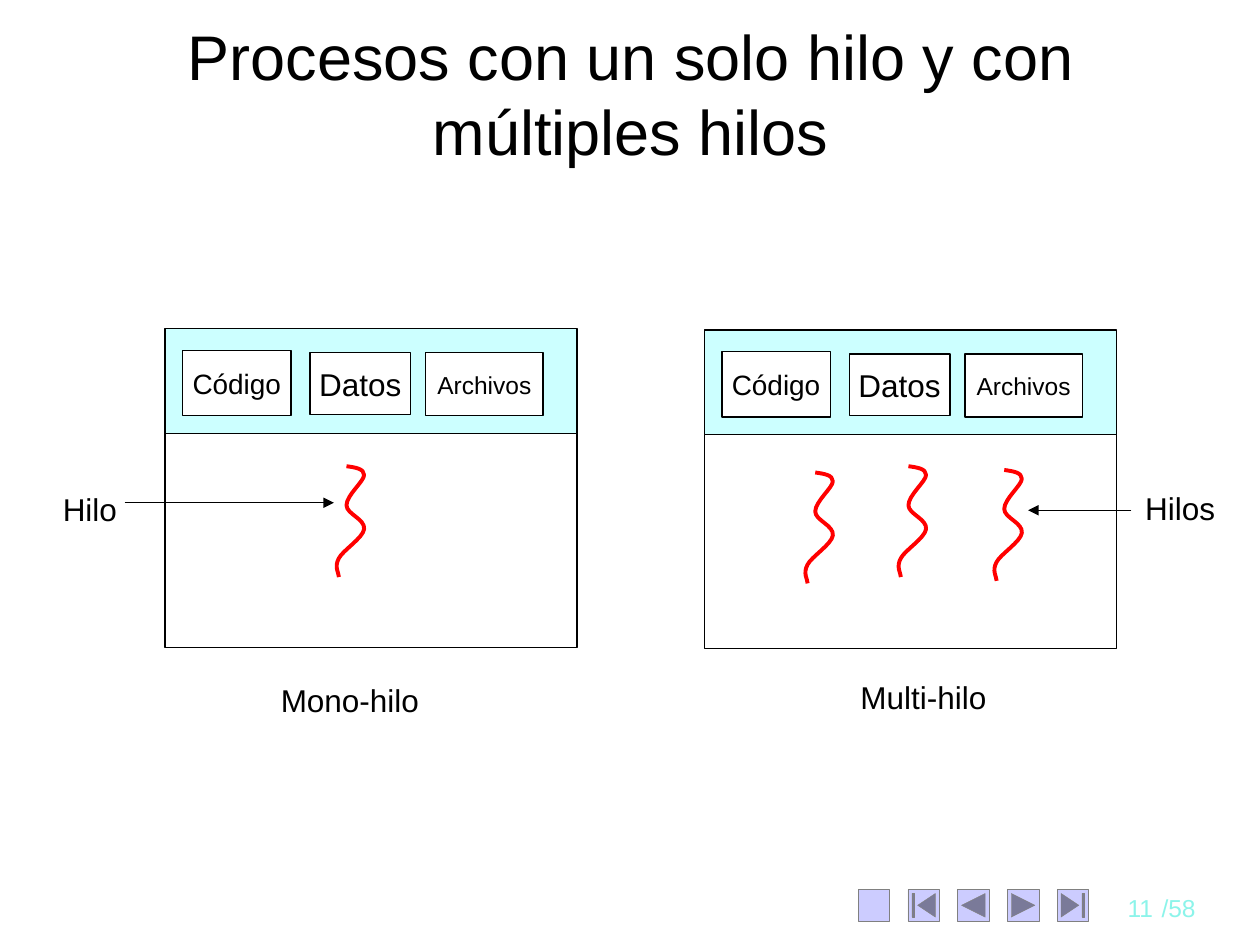
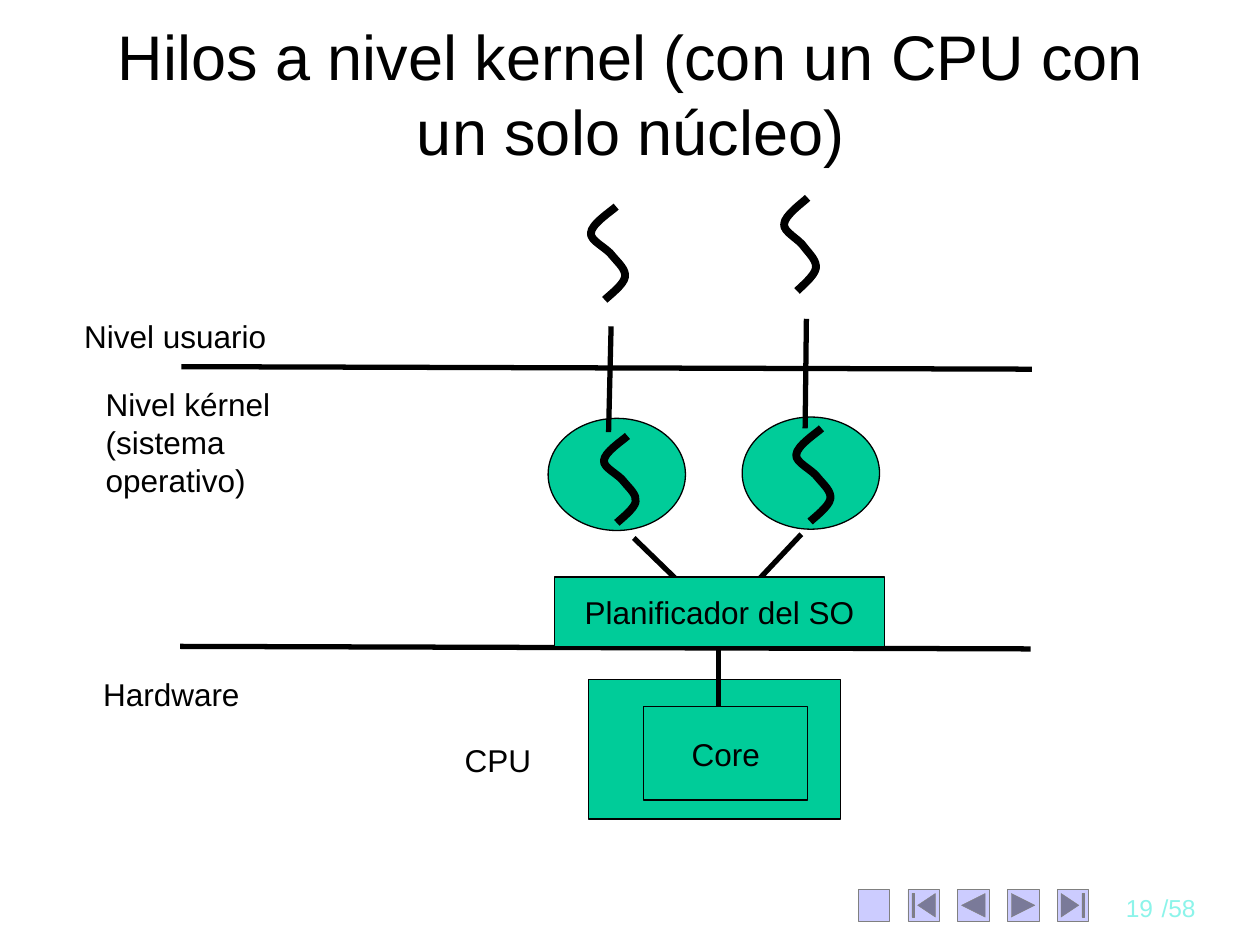
import pptx
import pptx.util
import pptx.dml.color
import pptx.enum.shapes
import pptx.enum.text
import pptx.oxml.ns

RGB = pptx.dml.color.RGBColor
SHAPE = pptx.enum.shapes.MSO_SHAPE
ALIGN = pptx.enum.text.PP_ALIGN
ANCHOR = pptx.enum.text.MSO_ANCHOR
AUTO_SIZE = pptx.enum.text.MSO_AUTO_SIZE
qn = pptx.oxml.ns.qn

EMU_PER_PX = 9144  # 100 px to the inch
FONT = "Arial"

BLACK = RGB(0x00, 0x00, 0x00)
WHITE = RGB(0xFF, 0xFF, 0xFF)
RED = RGB(0xFF, 0x00, 0x00)
GREEN = RGB(0x00, 0xCC, 0x99)
PALE_CYAN = RGB(0xCC, 0xFF, 0xFF)
LAVENDER = RGB(0xCC, 0xCC, 0xFF)
GRAY = RGB(0x80, 0x80, 0x80)
PAGE_CYAN = RGB(0x8C, 0xF4, 0xEA)

NAV_BUTTONS = [
    SHAPE.ACTION_BUTTON_CUSTOM,
    SHAPE.ACTION_BUTTON_BEGINNING,
    SHAPE.ACTION_BUTTON_BACK_OR_PREVIOUS,
    SHAPE.ACTION_BUTTON_FORWARD_OR_NEXT,
    SHAPE.ACTION_BUTTON_END,
]

# Bezier points relative to the thread's start: two controls and an end per row
LONG_THREAD = [
    (7, 1), (14, 2), (14, 7),
    (14, 12), (0, 23), (0, 31),
    (0, 38), (15, 42), (14, 50),
    (13, 57), (-3, 67), (-6, 73),
    (-10, 80), (-6, 85), (-6, 88),
]
SHORT_THREAD = [
    (-3, 3), (-20, 14), (-20, 21),
    (-21, 27), (-7, 33), (-3, 39),
    (2, 45), (8, 50), (7, 56),
    (6, 62), (-6, 71), (-9, 74),
]
SHORT_WIDTH, SHORT_HEIGHT = 29, 74


def px(value):
    return pptx.util.Emu(round(value * EMU_PER_PX))


def format_text(frame, text, size, color=BLACK, align=ALIGN.LEFT):
    frame.text = text
    paragraph = frame.paragraphs[0]
    paragraph.alignment = align
    font = paragraph.runs[0].font
    font.name, font.size = FONT, pptx.util.Pt(size)
    font.color.rgb = color


def add_box(shapes, kind, left, top, width, height, fill=None,
            outline=BLACK, weight=0.75, text=None, size=18):
    box = shapes.add_shape(kind, px(left), px(top), px(width), px(height))
    box.shadow.inherit = False
    if fill is None:
        box.fill.background()
    else:
        box.fill.solid()
        box.fill.fore_color.rgb = fill
    box.line.color.rgb = outline
    box.line.width = pptx.util.Pt(weight)
    if text:
        frame = box.text_frame
        frame.word_wrap = False
        frame.vertical_anchor = ANCHOR.MIDDLE
        format_text(frame, text, size, align=ALIGN.CENTER)
    return box


def add_label(slide, text, left, top, width, height=40, size=18,
              color=BLACK, align=ALIGN.LEFT, wrap=False):
    label = slide.shapes.add_textbox(px(left), px(top), px(width), px(height))
    label.text_frame.word_wrap = wrap
    label.text_frame.auto_size = AUTO_SIZE.SHAPE_TO_FIT_TEXT
    format_text(label.text_frame, text, size, color, align)
    return label


def add_line(slide, x1, y1, x2, y2, weight=3, arrow=False):
    line = slide.shapes.add_connector(
        pptx.enum.shapes.MSO_CONNECTOR.STRAIGHT, px(x1), px(y1), px(x2), px(y2))
    line.line.color.rgb = BLACK
    line.line.width = pptx.util.Pt(weight)
    properties = line._element.spPr
    if arrow:
        outline = properties.find(qn("a:ln"))
        outline.append(outline.makeelement(qn("a:tailEnd"), {"type": "triangle"}))
    properties.append(properties.makeelement(qn("a:effectLst"), {}))


def add_thread(slide, curve, x, y, color, weight, scale_x=1, scale_y=1):
    builder = slide.shapes.build_freeform(px(x), px(y))
    builder.add_line_segments(
        [(px(x + dx * scale_x), px(y + dy * scale_y)) for dx, dy in curve],
        close=False)
    thread = builder.convert_to_shape()
    thread.shadow.inherit = False
    thread.fill.background()
    thread.line.color.rgb = color
    thread.line.width = pptx.util.Pt(weight)
    # Every three straight segments become one Bezier segment
    outline = next(thread._element.iter(qn("a:path")))
    segments = outline.findall(qn("a:lnTo"))
    for start in range(0, len(segments), 3):
        bezier = outline.makeelement(qn("a:cubicBezTo"), {})
        for segment in segments[start:start + 3]:
            bezier.append(segment[0])
            outline.remove(segment)
        outline.append(bezier)


def add_short_thread(slide, x, y, width, height):
    add_thread(slide, SHORT_THREAD, x, y, BLACK, 4.5,
               width / SHORT_WIDTH, height / SHORT_HEIGHT)


def add_process(slide, left, top):
    """Process frame with its shared resources in the upper band."""
    shapes = slide.shapes.add_group_shape().shapes
    add_box(shapes, SHAPE.RECTANGLE, left, top + 2, 327, 251)
    add_box(shapes, SHAPE.RECTANGLE, left, top, 327, 83, PALE_CYAN)
    for text, dx, dy, width, height, size in [
        ("Código", 14, 17, 86, 52, 16),
        ("Datos", 115, 19, 80, 49, 18),
        ("Archivos", 207, 19, 93, 50, 14),
    ]:
        add_box(shapes, SHAPE.RECTANGLE, left + dx, top + dy, width, height,
                WHITE, text=text, size=size)


def share_footer(slide):
    """Navigation buttons and page total, moved to the slide's layout."""
    footer = [
        add_box(slide.shapes, button, 681 + 79 * index / 2, 706, 25, 25,
                LAVENDER, GRAY, 0.25)
        for index, button in enumerate(NAV_BUTTONS)
    ]
    footer.append(add_label(slide, "/58", 912, 704, 52, 33, 14, PAGE_CYAN, wrap=True))
    for part in footer:
        slide.slide_layout.shapes._spTree.append(part._element)


def new_slide(deck, title, number):
    """Title and page number."""
    slide = deck.slides.add_slide(deck.slide_layouts[5])
    heading = slide.shapes.title
    heading.left, heading.top = px(50), px(30)
    heading.width, heading.height = px(901), px(87)
    frame = heading.text_frame
    frame.word_wrap = True
    frame.auto_size = AUTO_SIZE.NONE
    frame.vertical_anchor = ANCHOR.MIDDLE
    format_text(frame, title, 36, align=ALIGN.CENTER)
    add_label(slide, number, 871, 704, 54, 33, 14, PAGE_CYAN, ALIGN.RIGHT, True)
    return slide


def build_process_slide(deck):
    slide = new_slide(deck, "Procesos con un solo hilo y con múltiples hilos", "11")
    share_footer(slide)
    add_process(slide, 131, 261)
    add_process(slide, 559, 262)
    for x, y in [(275, 370), (647, 375), (721, 370), (797, 373)]:
        add_thread(slide, LONG_THREAD, x, y, RED, 2.25)
    # Callouts and captions
    add_label(slide, "Hilo", 40, 384, 63)
    add_label(slide, "Hilos", 899, 383, 76)
    add_line(slide, 99, 399, 265, 399, 0.75, arrow=True)
    add_line(slide, 898, 405, 816, 405, 0.75, arrow=True)
    add_label(slide, "Mono-hilo", 213, 536, 131)
    add_label(slide, "Multi-hilo", 673, 533, 121)


def build_kernel_slide(deck):
    slide = new_slide(deck, "Hilos a nivel kernel (con un CPU con un solo núcleo)", "19")
    shapes = slide.shapes
    # Kernel threads and processor
    add_box(shapes, SHAPE.OVAL, 589, 331, 109, 89, GREEN)
    add_box(shapes, SHAPE.OVAL, 435, 332, 109, 89, GREEN)
    add_box(shapes, SHAPE.RECTANGLE, 467, 539, 200, 111, GREEN)
    add_box(shapes, SHAPE.RECTANGLE, 511, 561, 130, 74, GREEN, text="Core")
    for x, y, width, height in [
        (489, 164, 29, 74), (641, 157, 27, 74),
        (498, 346, 27, 69), (652, 340, 29, 74),
    ]:
        add_short_thread(slide, x, y, width, height)
    # Level boundaries, then links between levels
    for ends in [
        (144, 291, 819, 293), (143, 513, 818, 515),
        (639, 340, 640, 253), (483, 343, 485, 259),
        (572, 494, 503, 427), (571, 493, 636, 424), (570, 512, 570, 561),
    ]:
        add_line(slide, *ends)
    add_box(shapes, SHAPE.RECTANGLE, 440, 458, 262, 55, GREEN,
            text="Planificador del SO")
    # Level names
    add_label(slide, "Nivel usuario", 57, 247, 198, wrap=True)
    add_label(slide, "Nivel kérnel (sistema operativo)", 74, 301, 198, 100, wrap=True)
    add_label(slide, "Hardware", 72, 531, 130)
    add_label(slide, "CPU", 359, 583, 73)


def main():
    deck = pptx.Presentation()
    deck.slide_width, deck.slide_height = px(1000), px(750)
    build_process_slide(deck)
    build_kernel_slide(deck)
    deck.save("out.pptx")


if __name__ == "__main__":
    main()
